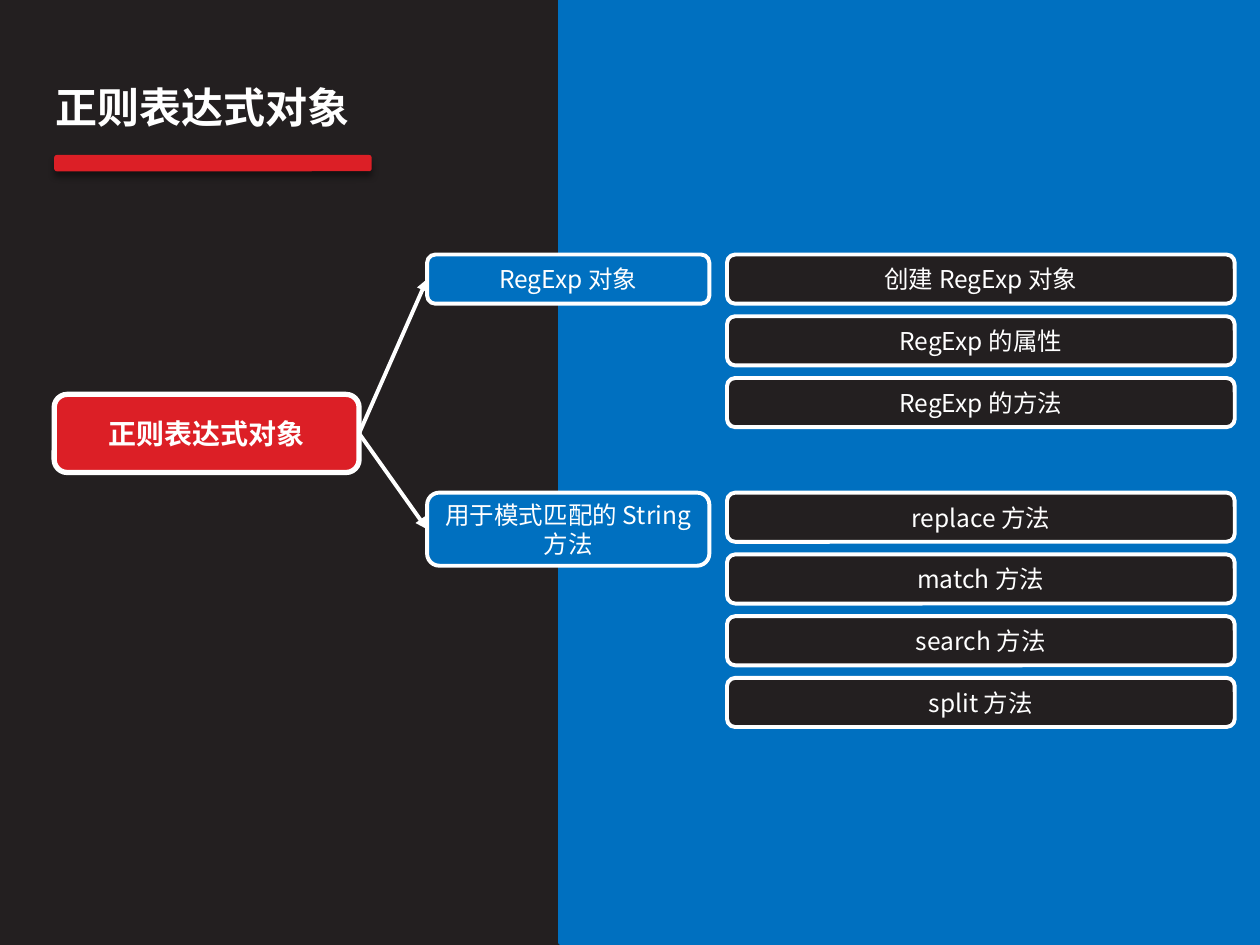
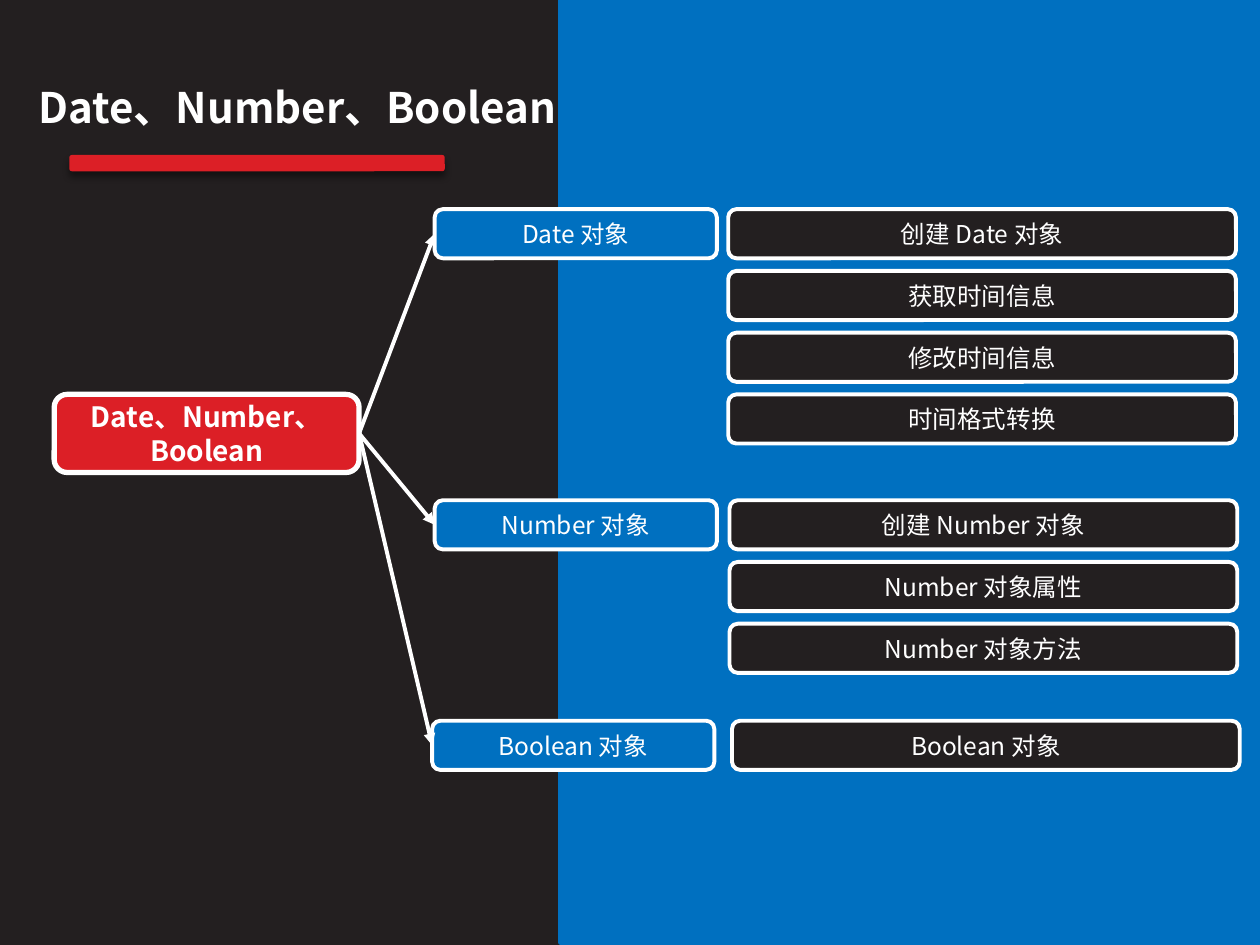
import pptx
import pptx.util
import pptx.dml.color
import pptx.enum.shapes
import pptx.enum.text
import pptx.oxml
import pptx.oxml.ns
import lxml.etree
from dataclasses import dataclass

Inches = pptx.util.Inches
SHAPE = pptx.enum.shapes.MSO_SHAPE
qn = pptx.oxml.ns.qn


@dataclass(frozen=True)
class Theme:
    dark: str = "231F20"
    blue: str = "0070C0"
    red: str = "DC1F26"
    white: str = "FFFFFF"
    font: str = "Noto Sans CJK SC"
    title_size: float = 24
    root_size: float = 16
    box_size: float = 14
    thick: float = 3
    thin: float = 2.25


T = Theme()

# Content: branches are (label, left, top, height, items left, items)
SLIDES = [
    {
        "title": "正则表达式对象",
        "title_width": 3.62,
        "rule": (0.43, 2.52),
        "branches": [
            ("RegExp 对象", 3.39, 2.02, 0.39, 5.77,
             ["创建 RegExp 对象", "RegExp 的属性", "RegExp 的方法"]),
            ("用于模式匹配的 String 方法", 3.39, 3.91, 0.58, 5.77,
             ["replace 方法", "match 方法", "search 方法", "split 方法"]),
        ],
    },
    {
        "title": "Date、Number、Boolean",
        "title_width": 5.12,
        "rule": (0.55, 2.98),
        "branches": [
            ("Date 对象", 3.45, 1.66, 0.39, 5.78,
             ["创建 Date 对象", "获取时间信息", "修改时间信息", "时间格式转换"]),
            ("Number 对象", 3.45, 3.97, 0.39, 5.79,
             ["创建 Number 对象", "Number 对象属性", "Number 对象方法"]),
            ("Boolean 对象", 3.43, 5.72, 0.39, 5.81, ["Boolean 对象"]),
        ],
    },
]

# Shared geometry
BAND = (4.45, 0, 5.55, 7.48)
ROOT = (0.43, 3.13, 2.42, 0.62)
TITLE_LEFT, TITLE_TOP, TITLE_HEIGHT = -0.2, 0.6, 0.71
RULE_TOP, RULE_HEIGHT = 1.23, 0.13
BRANCH_WIDTH = 2.24
ITEM_WIDTH, ITEM_HEIGHT, ITEM_PITCH = 4.03, 0.39, 0.49
LEFT_SITE, RIGHT_SITE = 1, 3


def rgb(color):
    return pptx.dml.color.RGBColor.from_string(color)


def write(sp, text, size, bold=False):
    tf = sp.text_frame
    tf.word_wrap = True
    tf.text = text
    p = tf.paragraphs[0]
    p.alignment = pptx.enum.text.PP_ALIGN.CENTER
    font = p.runs[0].font
    font.size, font.bold = pptx.util.Pt(size), bold
    font.color.rgb = rgb(T.white)
    font.name = T.font
    ea = lxml.etree.SubElement(p.runs[0]._r.get_or_add_rPr(), qn("a:ea"))
    ea.set("typeface", T.font)


def block(slide, kind, box, fill, line=None, width=T.thin):
    sp = slide.shapes.add_shape(kind, *map(Inches, box))
    sp.shadow.inherit = False
    sp.fill.solid()
    sp.fill.fore_color.rgb = rgb(fill)
    if line:
        sp.line.color.rgb = rgb(line)
        sp.line.width = pptx.util.Pt(width)
    else:
        sp.line.fill.background()
    return sp


def node(slide, box, fill, text, size=T.box_size, width=T.thin, bold=False):
    sp = block(slide, SHAPE.ROUNDED_RECTANGLE, box, fill, T.white, width)
    sp.text_frame.vertical_anchor = pptx.enum.text.MSO_ANCHOR.MIDDLE
    write(sp, text, size, bold)
    return sp


def drop_shadow(sp):
    effects = sp._element.spPr.find(qn("a:effectLst"))
    effects.append(pptx.oxml.parse_xml(
        f'<a:outerShdw {pptx.oxml.ns.nsdecls("a")} blurRad="50800" dist="38100" '
        'dir="5400000" algn="t" rotWithShape="0"><a:srgbClr val="000000">'
        '<a:alpha val="43000"/></a:srgbClr></a:outerShdw>'))


def arrow(slide, start, end):
    c = slide.shapes.add_connector(
        pptx.enum.shapes.MSO_CONNECTOR.STRAIGHT, 0, 0, 0, 0)
    c.begin_connect(start, RIGHT_SITE)
    c.end_connect(end, LEFT_SITE)
    c.line.color.rgb = rgb(T.white)
    c.line.width = pptx.util.Pt(T.thin)
    lxml.etree.SubElement(c.line._get_or_add_ln(), qn("a:tailEnd")).set("type", "triangle")
    lxml.etree.SubElement(c._element.spPr, qn("a:effectLst"))


def base(prs, data):
    """Background, side band, title and the rule below it."""
    slide = prs.slides.add_slide(prs.slide_layouts[6])
    slide.background.fill.solid()
    slide.background.fill.fore_color.rgb = rgb(T.dark)
    block(slide, SHAPE.RECTANGLE, BAND, T.blue, T.blue, T.thick)
    title = slide.shapes.add_textbox(*map(Inches, (
        TITLE_LEFT, TITLE_TOP, data["title_width"], TITLE_HEIGHT)))
    write(title, data["title"], T.title_size, bold=True)
    left, width = data["rule"]
    drop_shadow(block(slide, SHAPE.ROUNDED_RECTANGLE,
                      (left, RULE_TOP, width, RULE_HEIGHT), T.red))
    return slide


def tree(slide, data):
    """Root, its branches and the items stacked beside each branch."""
    root = node(slide, ROOT, T.red, data["title"], T.root_size, T.thick, bold=True)
    for label, left, top, height, items_left, items in data["branches"]:
        branch = node(slide, (left, top, BRANCH_WIDTH, height), T.blue, label)
        for i, item in enumerate(items):
            node(slide, (items_left, top + i * ITEM_PITCH, ITEM_WIDTH, ITEM_HEIGHT),
                 T.dark, item)
        arrow(slide, root, branch)


prs = pptx.Presentation()
prs.slide_width, prs.slide_height = Inches(10), Inches(7.5)
for data in SLIDES:
    tree(base(prs, data), data)
prs.save("out.pptx")
